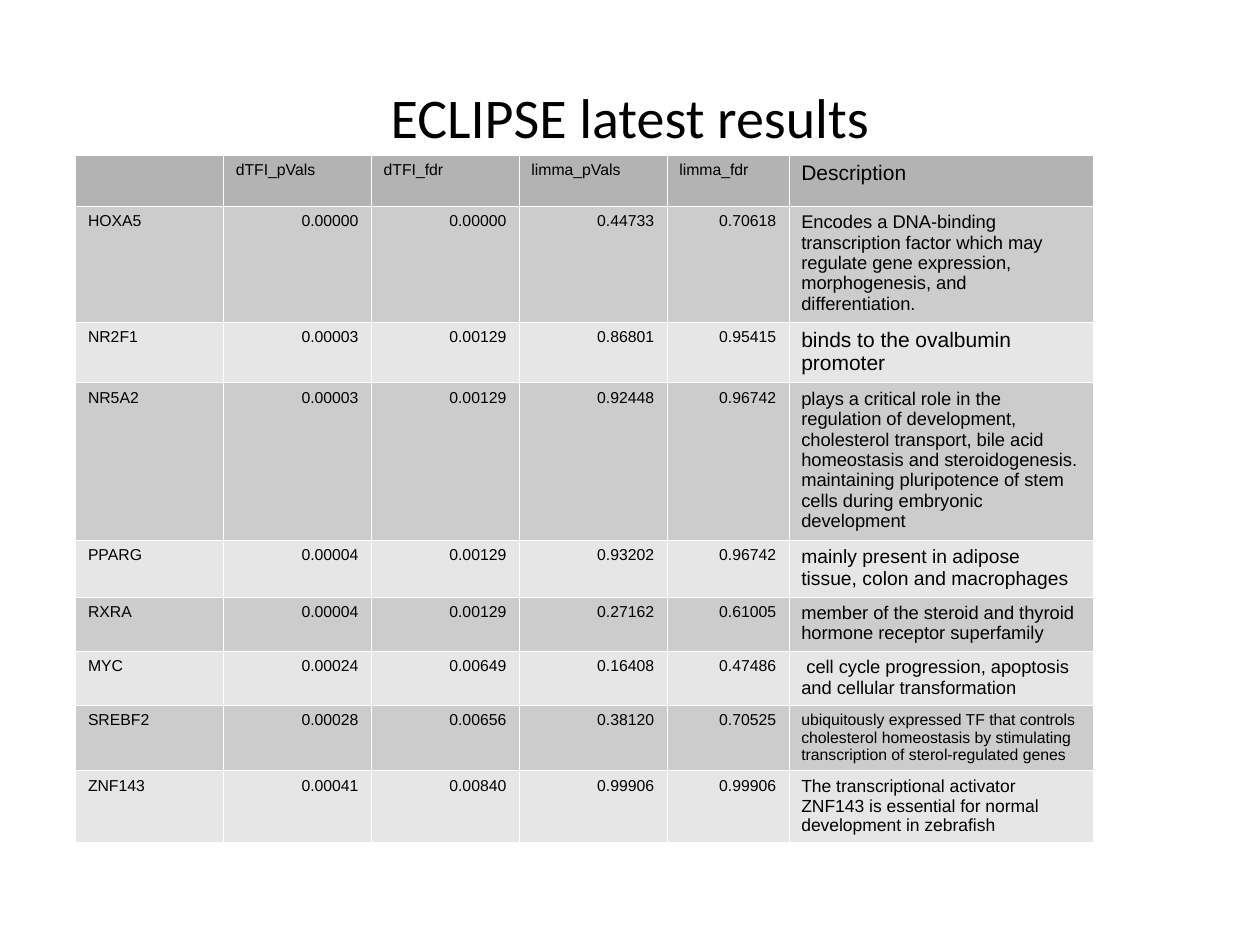
from pptx import Presentation
from pptx.dml.color import RGBColor
from pptx.enum.text import MSO_ANCHOR, PP_ALIGN
from pptx.oxml import parse_xml
from pptx.oxml.ns import nsdecls
from pptx.util import Cm, Pt

LEFT, CENTER, RIGHT = PP_ALIGN.LEFT, PP_ALIGN.CENTER, PP_ALIGN.RIGHT
MIDDLE = MSO_ANCHOR.MIDDLE
TITLE_ONLY = 5

THEME = {
    "ink": RGBColor(0x00, 0x00, 0x00),
    "header": RGBColor(0xB3, 0xB3, 0xB3),
    "bands": [RGBColor(0xCC, 0xCC, 0xCC), RGBColor(0xE6, 0xE6, 0xE6)],
    "border": "FFFFFF",
    "border_width": Pt(0.06),
    "title_font": "Calibri",
    "table_font": "Arial",
    "title_size": 32,
    "value_size": 9,
    "header_size": 12,
}

COLUMN_WIDTHS = [2.98, 2.98, 2.98, 2.98, 2.46, 6.13]
HEADINGS = ["", "dTFI_pVals", "dTFI_fdr", "limma_pVals", "limma_fdr", "Description"]
HEADER_HEIGHT = 0.97

# Row height, description size, gene, four values, description
GENES = [
    (2.34, 10.5, "HOXA5", "0.00000", "0.00000", "0.44733", "0.70618",
     "Encodes a DNA-binding transcription factor which may regulate gene "
     "expression, morphogenesis, and differentiation."),
    (1.22, 12, "NR2F1", "0.00003", "0.00129", "0.86801", "0.95415",
     "binds to the ovalbumin promoter"),
    (3.18, 10.5, "NR5A2", "0.00003", "0.00129", "0.92448", "0.96742",
     "plays a critical role in the regulation of development, cholesterol "
     "transport, bile acid homeostasis and steroidogenesis.\n"
     "maintaining pluripotence of stem cells during embryonic development"),
    (1.14, 11, "PPARG", "0.00004", "0.00129", "0.93202", "0.96742",
     "mainly present in adipose tissue, colon and macrophages"),
    (1.09, 10.5, "RXRA", "0.00004", "0.00129", "0.27162", "0.61005",
     "member of the steroid and thyroid hormone receptor superfamily"),
    (1.09, 10.5, "MYC", "0.00024", "0.00649", "0.16408", "0.47486",
     " cell cycle progression, apoptosis and cellular transformation"),
    (1.32, 9, "SREBF2", "0.00028", "0.00656", "0.38120", "0.70525",
     "ubiquitously expressed TF that controls cholesterol homeostasis by "
     "stimulating transcription of sterol-regulated genes"),
    (1.45, 10, "ZNF143", "0.00041", "0.00840", "0.99906", "0.99906",
     "The transcriptional activator ZNF143 is essential for normal "
     "development in zebrafish"),
]


def format_text(frame, font, size, align):
    for para in frame.paragraphs:
        para.alignment = align
        for span in para.runs:
            span.font.name = font
            span.font.size = Pt(size)
            span.font.bold = False
            span.font.color.rgb = THEME["ink"]


def style_cell(cell, fill):
    properties = cell._tc.get_or_add_tcPr()
    for side in ("lnL", "lnR", "lnT", "lnB"):
        properties.append(parse_xml(
            f'<a:{side} {nsdecls("a")} w="{THEME["border_width"]}"><a:solidFill>'
            f'<a:srgbClr val="{THEME["border"]}"/></a:solidFill></a:{side}>'))
    cell.fill.solid()
    cell.fill.fore_color.rgb = fill


deck = Presentation()
deck.slide_width, deck.slide_height = Cm(25.4), Cm(19.05)
page = deck.slides.add_slide(deck.slide_layouts[TITLE_ONLY])

# Title
title = page.shapes.title
title.left, title.top, title.width, title.height = Cm(1.27), Cm(0.76), Cm(22.86), Cm(3.18)
frame = title.text_frame
frame.text = "ECLIPSE latest results"
frame.vertical_anchor = MIDDLE
frame.margin_left = frame.margin_right = frame.margin_top = frame.margin_bottom = 0
format_text(frame, THEME["title_font"], THEME["title_size"], CENTER)

# Results table
table_height = Cm(14.53)
box = page.shapes.add_table(len(GENES) + 1, len(HEADINGS),
                            Cm(1.52), Cm(3.12), Cm(sum(COLUMN_WIDTHS)), table_height)
table = box.table
table.first_row = table.horz_banding = False
for column, width in zip(table.columns, COLUMN_WIDTHS):
    column.width = Cm(width)

last = len(HEADINGS) - 1
rows = [(HEADER_HEIGHT, THEME["header_size"], *HEADINGS), *GENES]
for row_index, (height, description_size, *texts) in enumerate(rows):
    table.rows[row_index].height = Cm(height)
    fill = THEME["bands"][(row_index - 1) % 2] if row_index else THEME["header"]
    for column_index, text in enumerate(texts):
        cell = table.cell(row_index, column_index)
        style_cell(cell, fill)
        if not text:
            continue
        cell.text_frame.text = text
        size = description_size if column_index == last else THEME["value_size"]
        align = RIGHT if row_index and 0 < column_index < last else LEFT
        format_text(cell.text_frame, THEME["table_font"], size, align)

# The rows stretch evenly to fill the frame
box.height = table_height

deck.save("out.pptx")
